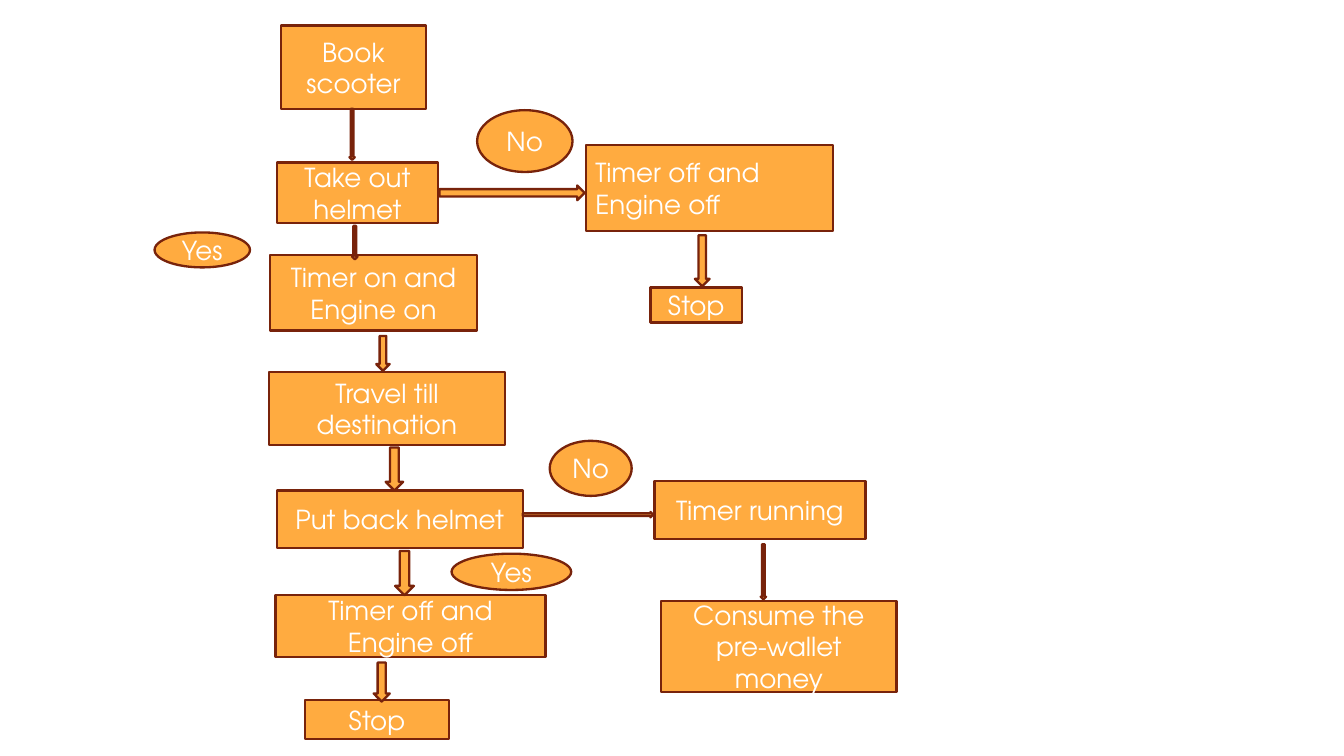
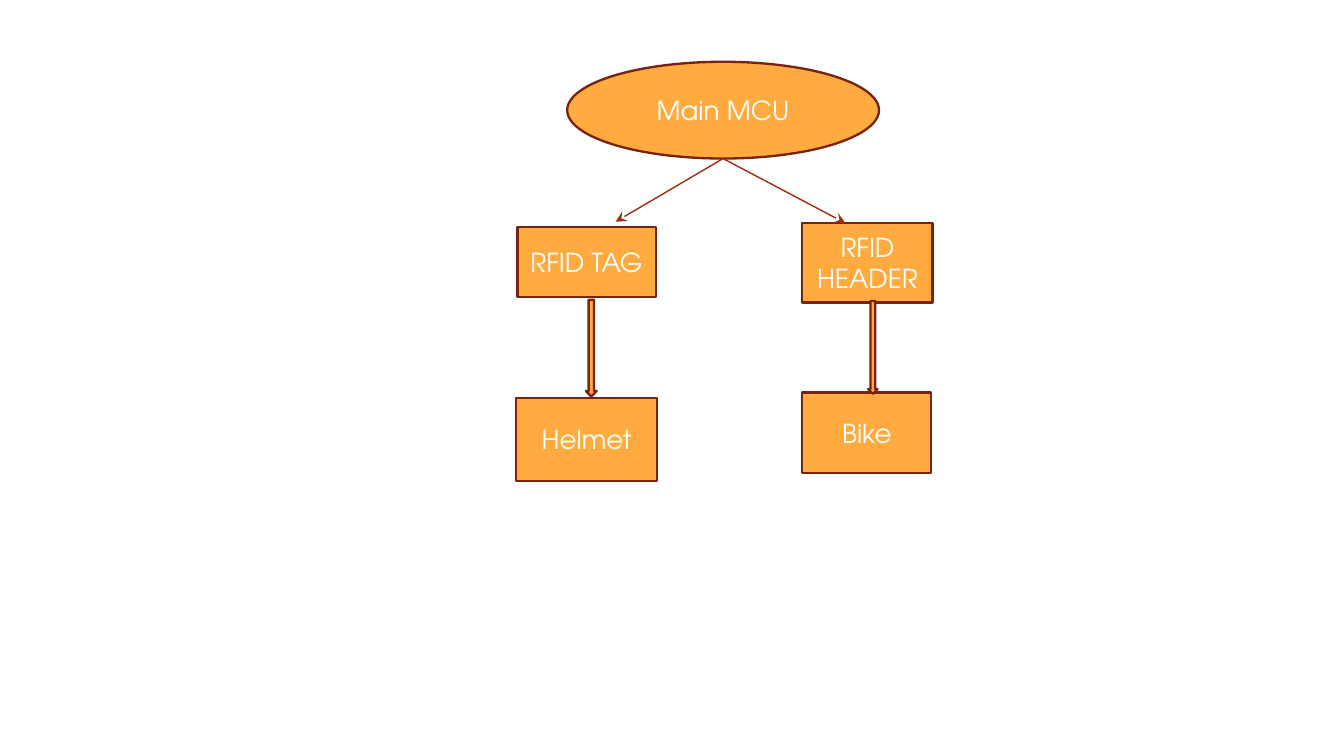
"""Build two flow diagrams: the scooter rental process and its RFID hardware."""
from dataclasses import dataclass
from typing import NamedTuple

from lxml.etree import SubElement
from pptx import Presentation
from pptx.dml.color import RGBColor
from pptx.enum.shapes import MSO_CONNECTOR, MSO_SHAPE as Shape
from pptx.enum.text import MSO_ANCHOR, PP_ALIGN as Align
from pptx.oxml.ns import qn
from pptx.shapes.autoshape import Shape as AutoShape
from pptx.slide import Slide
from pptx.util import Inches, Pt


@dataclass(frozen=True)
class Theme:
    fill: RGBColor = RGBColor.from_string("FFAB40")
    outline: RGBColor = RGBColor.from_string("78230B")
    link: RGBColor = RGBColor.from_string("9D2D0F")
    text: RGBColor = RGBColor.from_string("FFFFFF")
    font: str = "TeX Gyre Adventor"
    size: Pt = Pt(14)
    outline_width: Pt = Pt(1.25)
    link_width: Pt = Pt(0.75)
    inset_x: Inches = Inches(0.07)
    inset_y: Inches = Inches(0.04)


THEME = Theme()


class Node(NamedTuple):
    text: str
    left: float
    top: float
    width: float
    height: float
    kind: Shape = Shape.RECTANGLE
    align: Align = Align.CENTER


class Arrow(NamedTuple):
    left: float
    top: float
    width: float
    height: float
    kind: Shape = Shape.DOWN_ARROW


class Link(NamedTuple):
    x1: float
    y1: float
    x2: float
    y2: float


class Diagram(NamedTuple):
    nodes: list[Node]
    arrows: list[Arrow]
    links: list[Link]


RENTAL_FLOW = Diagram(
    nodes=[
        Node("Book scooter", 2.09, 0.19, 1.08, 0.62),
        Node("Take out helmet", 2.06, 1.21, 1.2, 0.45),
        Node("Timer off and Engine off", 4.36, 1.08, 1.84, 0.64, align=Align.LEFT),
        Node("Timer on and Engine on", 2.01, 1.9, 1.54, 0.56),
        Node("Travel till destination", 2, 2.77, 1.76, 0.54),
        Node("Put back helmet", 2.06, 3.65, 1.83, 0.43),
        Node("Timer off and Engine off", 2.05, 4.43, 2.01, 0.46),
        Node("Stop", 2.27, 5.21, 1.07, 0.29),
        Node("Timer running", 4.87, 3.58, 1.57, 0.43),
        Node("Consume the pre-wallet money", 4.92, 4.47, 1.75, 0.68),
        Node("Stop", 4.84, 2.14, 0.68, 0.26),
        Node("No", 3.55, 0.82, 0.71, 0.46, Shape.OVAL),
        Node("Yes", 1.15, 1.73, 0.71, 0.26, Shape.OVAL),
        Node("No", 4.09, 3.28, 0.61, 0.41, Shape.OVAL),
        Node("Yes", 3.36, 4.12, 0.89, 0.27, Shape.OVAL),
    ],
    arrows=[
        Arrow(2.6, 0.81, 0.04, 0.38),
        Arrow(2.62, 1.68, 0.04, 0.25),
        Arrow(3.27, 1.38, 1.08, 0.11, Shape.RIGHT_ARROW),
        Arrow(5.17, 1.75, 0.11, 0.38),
        Arrow(2.8, 2.5, 0.1, 0.26),
        Arrow(2.87, 3.33, 0.13, 0.32),
        Arrow(2.94, 4.1, 0.14, 0.33),
        Arrow(2.78, 4.93, 0.12, 0.29),
        Arrow(3.89, 3.81, 0.97, 0.04, Shape.RIGHT_ARROW),
        Arrow(5.66, 4.05, 0.04, 0.41),
    ],
    links=[],
)

HARDWARE = Diagram(
    nodes=[
        Node("RFID TAG", 3.85, 1.69, 1.03, 0.52),
        Node("RFID HEADER", 5.97, 1.66, 0.97, 0.59),
        Node("Main MCU", 4.22, 0.46, 2.32, 0.72, Shape.OVAL),
        Node("Helmet", 3.84, 2.96, 1.05, 0.62),
        Node("Bike", 5.97, 2.92, 0.96, 0.6),
    ],
    arrows=[Arrow(4.36, 2.23, 0.08, 0.72), Arrow(6.46, 2.24, 0.07, 0.69)],
    links=[Link(5.38, 1.18, 6.29, 1.66), Link(5.38, 1.18, 4.58, 1.65)],
)


def write_text(sp: AutoShape, text: str, *, align: Align = Align.CENTER,
               size: Pt = THEME.size, color: RGBColor = THEME.text) -> None:
    tf = sp.text_frame
    tf.word_wrap = True
    tf.vertical_anchor = MSO_ANCHOR.MIDDLE
    tf.margin_left = tf.margin_right = THEME.inset_x
    tf.margin_top = tf.margin_bottom = THEME.inset_y
    p = tf.paragraphs[0]
    p.alignment = align
    r = p.add_run()
    r.text = text
    r.font.name = THEME.font
    r.font.size = size
    r.font.color.rgb = color


def draw_shape(s: Slide, item: Node | Arrow) -> AutoShape:
    box = map(Inches, (item.left, item.top, item.width, item.height))
    sp = s.shapes.add_shape(item.kind, *box)
    sp.shadow.inherit = False
    sp.fill.solid()
    sp.fill.fore_color.rgb = THEME.fill
    sp.line.color.rgb = THEME.outline
    sp.line.width = THEME.outline_width
    return sp


def draw_link(s: Slide, link: Link) -> None:
    cxn = s.shapes.add_connector(MSO_CONNECTOR.STRAIGHT, *map(Inches, link))
    cxn.line.color.rgb = THEME.link
    cxn.line.width = THEME.link_width
    SubElement(cxn.line._get_or_add_ln(), qn("a:tailEnd"), type="stealth")
    SubElement(cxn._element.spPr, qn("a:effectLst"))


def draw_diagram(s: Slide, diagram: Diagram) -> None:
    for node in diagram.nodes:
        write_text(draw_shape(s, node), node.text, align=node.align)
    for arrow in diagram.arrows:
        draw_shape(s, arrow)
    for link in diagram.links:
        draw_link(s, link)


def main() -> None:
    prs = Presentation()
    prs.slide_width = Inches(10)
    prs.slide_height = prs.slide_width * 9 // 16
    for diagram in (RENTAL_FLOW, HARDWARE):
        draw_diagram(prs.slides.add_slide(prs.slide_layouts[6]), diagram)
    prs.save("out.pptx")


if __name__ == "__main__":
    main()
